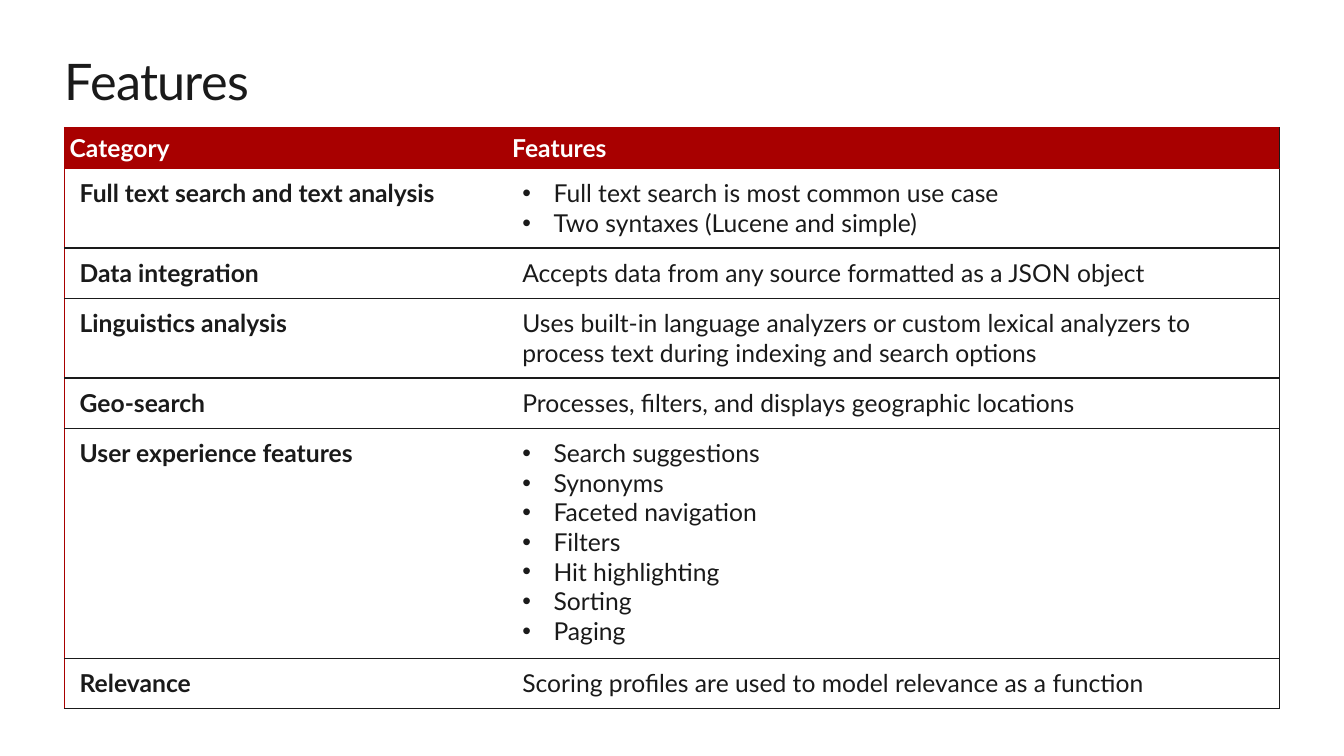
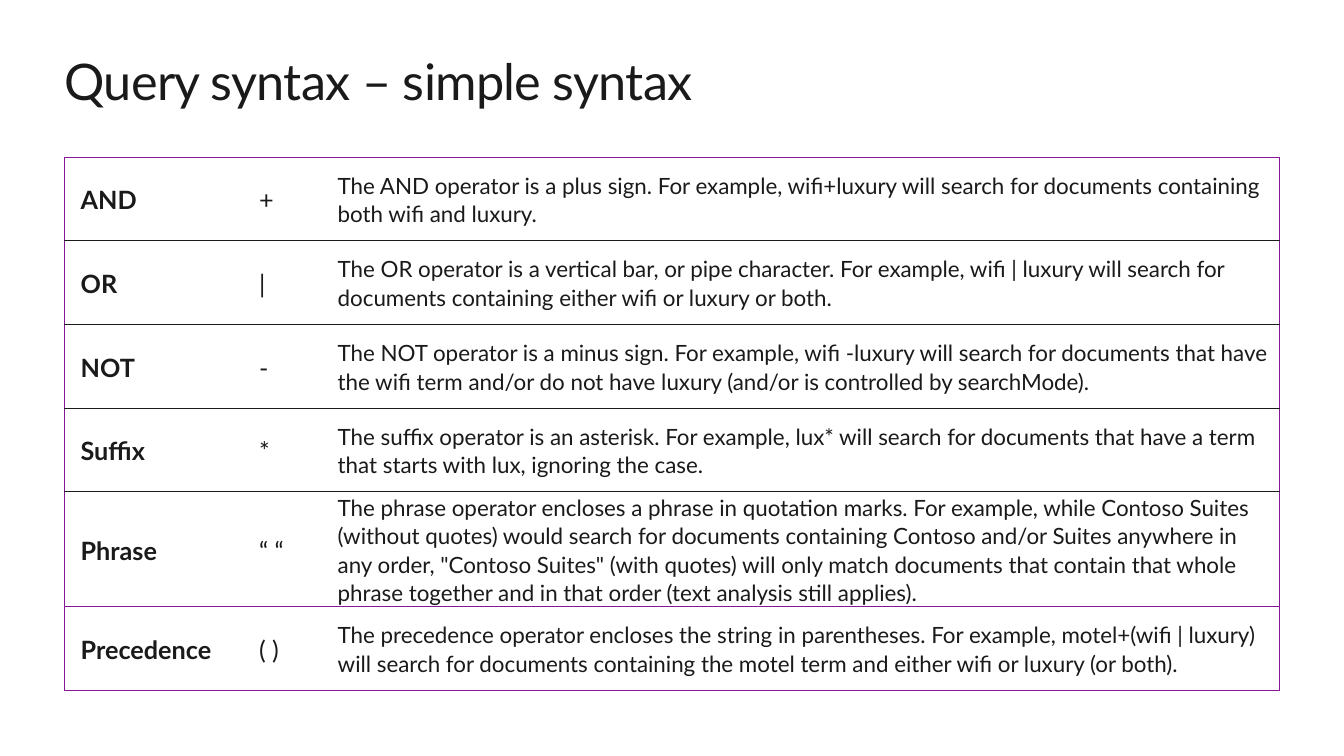
"""Build two search slides: a feature overview and the simple query syntax."""
from dataclasses import dataclass

from lxml import etree
from pptx import Presentation
from pptx.dml.color import RGBColor
from pptx.enum import text
from pptx.oxml import ns
from pptx.util import Inches, Pt

COLORS = {"ink": "1A1A1A", "white": "FFFFFF", "crimson": "A80000", "purple": "881798"}
FONT = "Lato"
LEFT, WIDTH = 0.64, 12.05


@dataclass(frozen=True)
class CellStyle:
    size: float
    bold: bool = False
    color: str = "ink"
    fill: str = "white"
    margin_x: float = 0.15
    margin_y: float = 0.1
    spacing: float = 1.0
    anchor: text.MSO_ANCHOR = text.MSO_ANCHOR.TOP


@dataclass(frozen=True)
class Grid:
    top: float
    columns: list[float]
    heights: list[float]
    rules: list[str]
    left_edge: str
    right_edge: str


HEADER = CellStyle(17.6, bold=True, color="white", fill="crimson", margin_x=0.05, margin_y=0.05)
CATEGORY = CellStyle(17.6, bold=True)
FEATURE = CellStyle(17.6)
OPERATOR_LAYOUT = {"margin_y": 0, "spacing": 1.07, "anchor": text.MSO_ANCHOR.MIDDLE}
OPERATOR = CellStyle(18, bold=True, margin_x=0.16, **OPERATOR_LAYOUT)
SYMBOL = CellStyle(18, margin_x=0.16, **OPERATOR_LAYOUT)
MEANING = CellStyle(16, margin_x=0.08, **OPERATOR_LAYOUT)

FEATURES = [
    ("Category", "Features"),
    ("Full text search and text analysis",
     ["Full text search is most common use case", "Two syntaxes (Lucene and simple)"]),
    ("Data integration", "Accepts data from any source formatted as a JSON object"),
    ("Linguistics analysis",
     "Uses built-in language analyzers or custom lexical analyzers to process text "
     "during indexing and search options"),
    ("Geo-search", "Processes, filters, and displays geographic locations"),
    ("User experience features",
     ["Search suggestions", "Synonyms", "Faceted navigation", "Filters",
      "Hit highlighting", "Sorting", "Paging"]),
    ("Relevance", "Scoring profiles are used to model relevance as a function"),
]

OPERATORS = [
    ("AND", "+",
     "The AND operator is a plus sign. For example, wifi+luxury will search for "
     "documents containing both wifi and luxury."),
    ("OR", "|",
     "The OR operator is a vertical bar, or pipe character. For example, wifi | luxury "
     "will search for documents containing either wifi or luxury or both."),
    ("NOT", "-",
     "The NOT operator is a minus sign. For example, wifi -luxury will search for "
     "documents that have the wifi term and/or do not have luxury (and/or is "
     "controlled by searchMode)."),
    ("Suffix", "*",
     "The suffix operator is an asterisk. For example, lux* will search for documents "
     "that have a term that starts with lux, ignoring the case."),
    ("Phrase", "“ “",
     "The phrase operator encloses a phrase in quotation marks. For example, while "
     "Contoso Suites (without quotes) would search for documents containing Contoso "
     "and/or Suites anywhere in any order, \"Contoso Suites\" (with quotes) will only "
     "match documents that contain that whole phrase together and in that order (text "
     "analysis still applies)."),
    ("Precedence", "( )",
     "The precedence operator encloses the string in parentheses. For example, "
     "motel+(wifi | luxury) will search for documents containing the motel term and "
     "either wifi or luxury (or both)."),
]

FEATURE_GRID = Grid(1.27, [4.39, 7.66], [0.4, 0.79, 0.5, 0.79, 0.5, 2.28, 0.5],
                    ["crimson"] * 2 + ["ink"] * 6, "crimson", "ink")
OPERATOR_GRID = Grid(1.56, [1.77, 0.86, 9.42], [0.83] * 4 + [1.14, 0.83],
                     ["purple"] + ["ink"] * 4 + ["purple"] * 2, "purple", "purple")


def rgb(name: str) -> RGBColor:
    return RGBColor.from_string(COLORS[name])


def format_font(font, size: float, color: str, bold: bool = False) -> None:
    font.name, font.size, font.bold = FONT, Pt(size), bold
    font.color.rgb = rgb(color)


def add_bullet(paragraph) -> None:
    properties = paragraph._p.get_or_add_pPr()
    properties.set("marL", str(Inches(0.31)))
    properties.set("indent", str(-Inches(0.31)))
    bullet_font = etree.Element(ns.qn("a:buFont"), typeface="Arial")
    bullet = etree.Element(ns.qn("a:buChar"), char="•")
    properties.insert_element_before(bullet_font, "a:tabLst", "a:defRPr", "a:extLst")
    properties.insert_element_before(bullet, "a:tabLst", "a:defRPr", "a:extLst")


def set_borders(cell, edges: dict[str, str | None]) -> None:
    properties = cell._tc.get_or_add_tcPr()
    for position, (side, color) in enumerate(edges.items()):
        line = etree.Element(ns.qn(f"a:ln{side}"), w=str(Pt(1)))
        if color:
            fill = etree.SubElement(line, ns.qn("a:solidFill"))
            etree.SubElement(fill, ns.qn("a:srgbClr"), val=COLORS[color])
        else:
            etree.SubElement(line, ns.qn("a:noFill"))
        properties.insert(position, line)


def fill_cell(cell, content: str | list[str], style: CellStyle) -> None:
    bulleted = isinstance(content, list)
    cell.fill.solid()
    cell.fill.fore_color.rgb = rgb(style.fill)
    cell.margin_left = cell.margin_right = Inches(style.margin_x)
    cell.margin_top = cell.margin_bottom = Inches(style.margin_y)
    cell.vertical_anchor = style.anchor
    cell.text_frame.text = "\n".join(content) if bulleted else content
    for paragraph in cell.text_frame.paragraphs:
        paragraph.line_spacing = style.spacing
        format_font(paragraph.font, style.size, style.color, style.bold)
        if bulleted:
            add_bullet(paragraph)


def add_grid(slide, grid: Grid, rows: list[tuple], styles: list[CellStyle],
             header: CellStyle | None = None) -> None:
    table = slide.shapes.add_table(
        len(rows), len(grid.columns), Inches(LEFT), Inches(grid.top),
        Inches(WIDTH), Inches(sum(grid.heights))).table
    table.first_row = table.horz_banding = False
    for column, width in zip(table.columns, grid.columns):
        column.width = Inches(width)
    last = len(grid.columns) - 1
    for r, contents in enumerate(rows):
        table.rows[r].height = Inches(grid.heights[r])
        for c, content in enumerate(contents):
            cell = table.cell(r, c)
            fill_cell(cell, content, header if header and r == 0 else styles[c])
            set_borders(cell, {
                "L": grid.left_edge if c == 0 else None,
                "R": grid.right_edge if c == last else None,
                "T": grid.rules[r],
                "B": grid.rules[r + 1],
            })


def add_titled_slide(deck, heading: str):
    slide = deck.slides.add_slide(deck.slide_layouts[5])
    title = slide.shapes.title
    title.left, title.top = Inches(LEFT), Inches(0.5)
    title.width, title.height = Inches(WIDTH), Inches(0.61)
    frame = title.text_frame
    frame.margin_left = frame.margin_right = frame.margin_top = frame.margin_bottom = 0
    frame.vertical_anchor = text.MSO_ANCHOR.TOP
    frame.auto_size = text.MSO_AUTO_SIZE.SHAPE_TO_FIT_TEXT
    frame.text = heading
    paragraph = frame.paragraphs[0]
    paragraph.alignment = text.PP_ALIGN.LEFT
    format_font(paragraph.font, 36, "ink")
    paragraph.runs[0]._r.get_or_add_rPr().set("spc", "-50")
    return slide


def main() -> None:
    deck = Presentation()
    deck.slide_width, deck.slide_height = Inches(13.33), Inches(7.5)
    add_grid(add_titled_slide(deck, "Features"), FEATURE_GRID, FEATURES,
             [CATEGORY, FEATURE], HEADER)
    add_grid(add_titled_slide(deck, "Query syntax – simple syntax"), OPERATOR_GRID,
             OPERATORS, [OPERATOR, SYMBOL, MEANING])
    deck.save("out.pptx")


if __name__ == "__main__":
    main()
